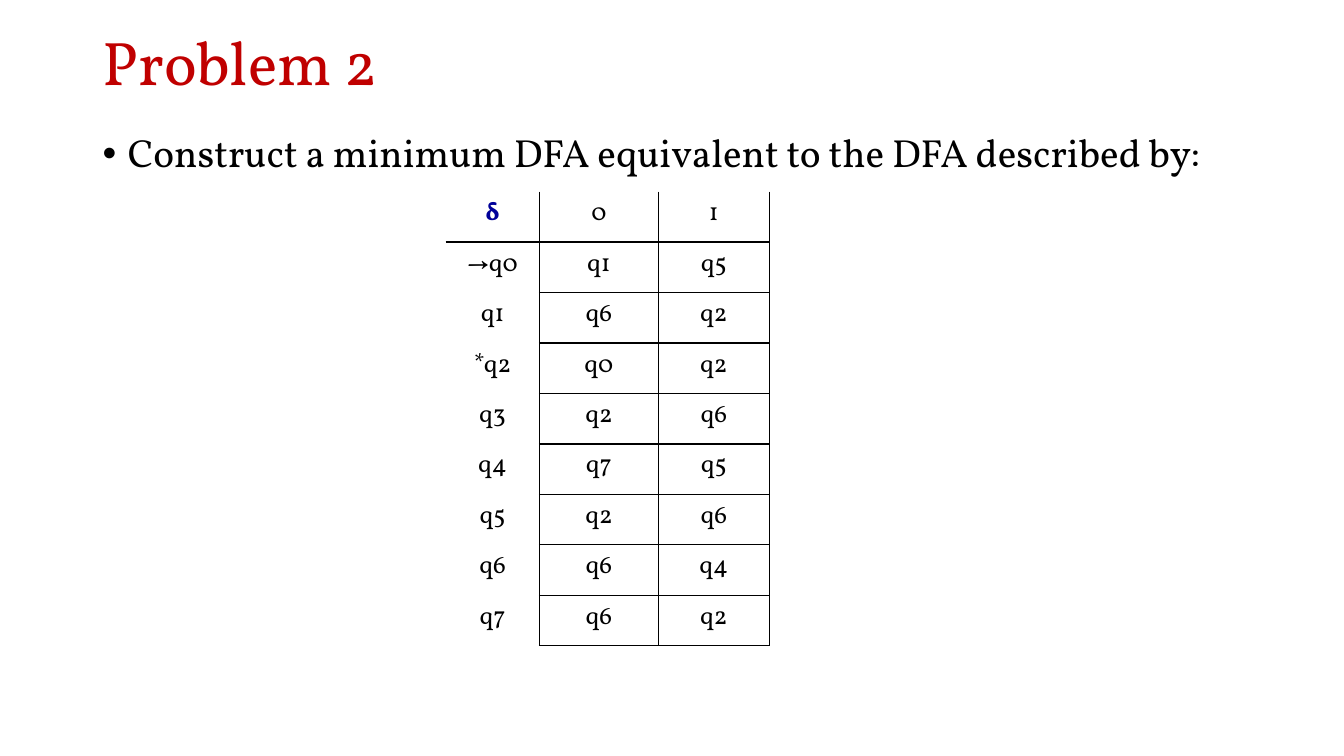
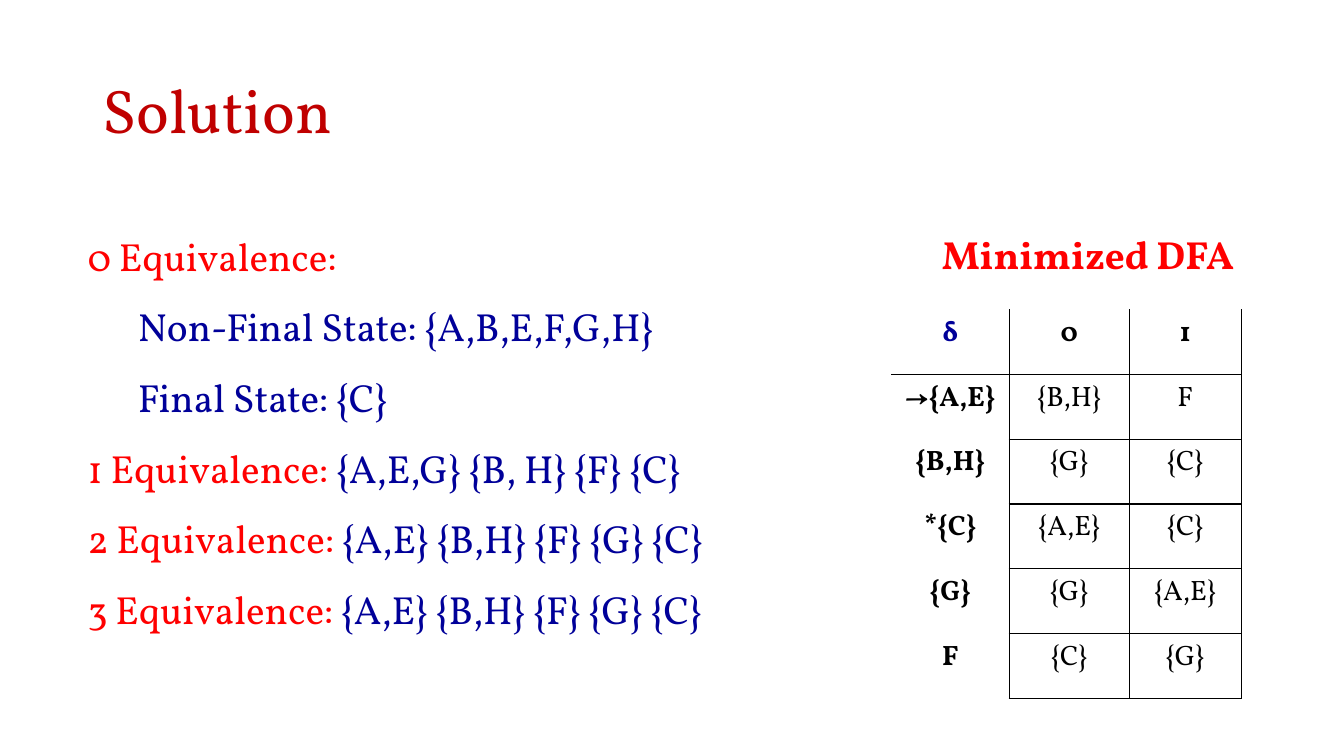
"""Build two slides on minimising a DFA: the problem and its solution."""
import pptx
import pptx.dml.color
import pptx.enum.text
import pptx.oxml.ns
import pptx.util
from lxml import etree
from pptx.util import Inches

RGBColor = pptx.dml.color.RGBColor
ALIGN = pptx.enum.text.PP_ALIGN
ANCHOR = pptx.enum.text.MSO_ANCHOR
AUTO_SIZE = pptx.enum.text.MSO_AUTO_SIZE
qn = pptx.oxml.ns.qn

FONT = "Vollkorn"
TITLE_RED = RGBColor(0xC0, 0x00, 0x00)
RED = RGBColor(0xFF, 0x00, 0x00)
BLUE = RGBColor(0x00, 0x00, 0x99)
BLACK = RGBColor(0x00, 0x00, 0x00)

TASK = "Construct a minimum DFA equivalent to the DFA described by:"
TRANSITIONS = [
    ("δ", "0", "1"),
    ("→q0", "q1", "q5"),
    ("q1", "q6", "q2"),
    ("*q2", "q0", "q2"),
    ("q3", "q2", "q6"),
    ("q4", "q7", "q5"),
    ("q5", "q2", "q6"),
    ("q6", "q6", "q4"),
    ("q7", "q6", "q2"),
]
MINIMIZED = [
    ("δ", "0", "1"),
    ("→{A,E}", "{B,H}", "F"),
    ("{B,H}", "{G}", "{C}"),
    ("*{C}", "{A,E}", "{C}"),
    ("{G}", "{G}", "{A,E}"),
    ("F", "{C}", "{G}"),
]
EQUIVALENCES = [
    (0, "0 Equivalence:", ""),
    (1, "", "Non-Final State: {A,B,E,F,G,H}"),
    (1, "", "Final State: {C}"),
    (0, "1 Equivalence: ", "{A,E,G} {B, H} {F} {C}"),
    (0, "2 Equivalence: ", "{A,E} {B,H} {F} {G} {C}"),
    (0, "3 Equivalence: ", "{A,E} {B,H} {F} {G} {C}"),
]


def write(paragraph, text, size=28, color=BLACK, bold=False, align=None, spacing=None):
    """Add a formatted run to a paragraph."""
    if align is not None:
        paragraph.alignment = align
    if spacing is not None:
        paragraph.line_spacing = spacing
    run = paragraph.add_run()
    run.text = text
    run.font.name = FONT
    run.font.size = pptx.util.Pt(size)
    run.font.bold = bold
    run.font.color.rgb = color


def indent(paragraph, left, first=0, bullet=None):
    """Set the indents of a paragraph and its bullet, if any."""
    properties = paragraph._p.get_or_add_pPr()
    properties.set("marL", str(Inches(left)))
    properties.set("indent", str(Inches(first)))
    if bullet:
        etree.SubElement(properties, qn("a:buFont")).set("typeface", "Arial")
        etree.SubElement(properties, qn("a:buChar")).set("char", bullet)


def add_titled_slide(deck, title, top):
    """Add a slide with its title in the shared style."""
    slide = deck.slides.add_slide(deck.slide_layouts[5])
    heading = slide.shapes.title
    heading.left, heading.top = Inches(0.92), Inches(top)
    heading.width, heading.height = Inches(11.5), Inches(1.45)
    heading.text_frame.vertical_anchor = ANCHOR.MIDDLE
    write(heading.text_frame.paragraphs[0], title, size=44, color=TITLE_RED,
          align=ALIGN.LEFT, spacing=0.9)
    return slide


def add_text_frame(slide, left, top, width, height, grow=False):
    """Add a wrapping text box and return its frame."""
    box = slide.shapes.add_textbox(Inches(left), Inches(top), Inches(width), Inches(height))
    frame = box.text_frame
    frame.word_wrap = True
    if grow:
        frame.auto_size = AUTO_SIZE.SHAPE_TO_FIT_TEXT
    return frame


def draw_borders(cell, row, column):
    """Rule a cell, leaving the state column and the top of the header open."""
    sides = {
        "a:lnL": column > 0,
        "a:lnR": True,
        "a:lnT": row > 0 and (column > 0 or row == 1),
        "a:lnB": row == 0 or column > 0,
    }
    properties = cell._tc.get_or_add_tcPr()
    for tag, ruled in sides.items():
        line = etree.SubElement(properties, qn(tag), w=str(pptx.util.Pt(1)))
        if ruled:
            fill = etree.SubElement(line, qn("a:solidFill"))
            etree.SubElement(fill, qn("a:srgbClr"), val=str(BLACK))
        else:
            etree.SubElement(line, qn("a:noFill"))


def add_transition_table(slide, rows, left, top, widths, height, size, bold_labels):
    """Add a transition table with equal rows."""
    table = slide.shapes.add_table(len(rows), len(widths), Inches(left), Inches(top),
                                   Inches(sum(widths)), Inches(height)).table
    table.first_row = table.horz_banding = False
    for column, width in zip(table.columns, widths):
        column.width = Inches(width)
    for r, states in enumerate(rows):
        table.rows[r].height = Inches(height / len(rows))
        for c, state in enumerate(states):
            cell = table.cell(r, c)
            corner = r == c == 0
            write(cell.text_frame.paragraphs[0], state, size=size,
                  color=BLUE if corner else BLACK,
                  bold=corner or (bold_labels and (r == 0 or c == 0)),
                  align=ALIGN.CENTER)
            draw_borders(cell, r, c)
            cell.fill.background()


def build_problem(deck):
    """Build the problem slide."""
    slide = add_titled_slide(deck, "Problem 2", -0.07)
    task = add_text_frame(slide, 0.92, 1.28, 11.5, 0.6).paragraphs[0]
    indent(task, 0.25, -0.25, bullet="•")
    write(task, TASK, align=ALIGN.JUSTIFY, spacing=0.9)
    add_transition_table(slide, TRANSITIONS, 4.42, 1.9, (0.93, 1.18, 1.1), 4.51,
                         size=18, bold_labels=False)


def build_solution(deck):
    """Build the solution slide."""
    slide = add_titled_slide(deck, "Solution", 0.4)
    steps = add_text_frame(slide, 0.77, 2.02, 7.16, 4.27, grow=True)
    for number, (level, label, states) in enumerate(EQUIVALENCES):
        step = steps.add_paragraph() if number else steps.paragraphs[0]
        if level:
            step.level = level
            indent(step, 0.5 * level)
        for text, color in ((label, RED), (states, BLUE)):
            if text:
                write(step, text, color=color, spacing=1.5)
    add_transition_table(slide, MINIMIZED, 8.84, 3.07, (1.17, 1.19, 1.11), 3.86,
                         size=20, bold_labels=True)
    caption = add_text_frame(slide, 9.14, 2.24, 3.3, 0.57, grow=True)
    write(caption.paragraphs[0], "Minimized DFA", color=RED, bold=True, align=ALIGN.CENTER)


def main():
    """Build and save the deck."""
    deck = pptx.Presentation()
    deck.slide_width, deck.slide_height = Inches(13.33), Inches(7.5)
    build_problem(deck)
    build_solution(deck)
    deck.save("out.pptx")


if __name__ == "__main__":
    main()
